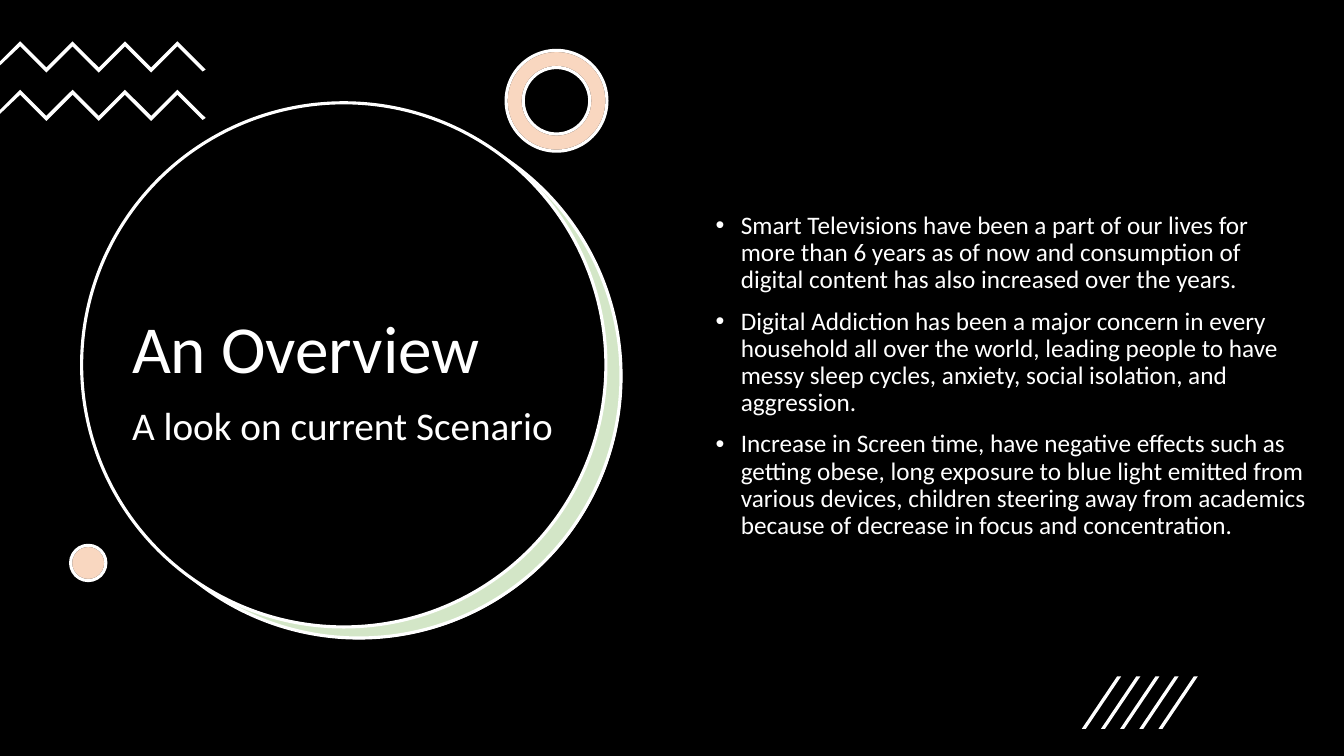
from lxml import etree
from pptx import Presentation
from pptx.dml.color import RGBColor
from pptx.enum import shapes, text
from pptx.oxml import ns
from pptx.util import Inches, Pt

BLACK = RGBColor(0x00, 0x00, 0x00)
WHITE = RGBColor(0xFF, 0xFF, 0xFF)
GREEN = RGBColor(0x70, 0xAD, 0x47)
ORANGE = RGBColor(0xED, 0x7D, 0x31)
FONT = "Calibri"
WIDTH, HEIGHT = 13.33, 7.5

POINTS = [
    "Smart Televisions have been a part of our lives for more than 6 years as of now "
    "and consumption of digital content has also increased over the years.",
    "Digital Addiction has been a major concern in every household all over the world, "
    "leading people to have messy sleep cycles, anxiety, social isolation, and aggression.",
    "Increase in Screen time, have negative effects such as getting obese, "
    "long exposure to blue light emitted from various devices, children steering away "
    "from academics because of decrease in focus and concentration.",
]


def paint(shape, fill, line=None, opacity=None):
    shape.shadow.inherit = False
    shape.fill.solid()
    shape.fill.fore_color.rgb = fill
    if opacity:
        color = shape.element.spPr.find(ns.qn("a:solidFill"))[0]
        etree.SubElement(color, ns.qn("a:alpha"), val=str(opacity * 1000))
    if line is None:
        shape.line.fill.background()
    else:
        shape.line.color.rgb = line
        shape.line.width = Pt(2.25)


def add_preset(slide, kind, left, top, width, height, fill, line=None, opacity=None):
    shape = slide.shapes.add_shape(
        kind, Inches(left), Inches(top), Inches(width), Inches(height))
    paint(shape, fill, line, opacity)
    return shape


def add_disc(slide, left, top, size, fill, line=None, opacity=None):
    add_preset(slide, shapes.MSO_SHAPE.OVAL, left, top, size, size, fill, line, opacity)


def add_outline(slide, corners):
    start, *rest = [(Inches(x), Inches(y)) for x, y in corners]
    builder = slide.shapes.build_freeform(*start)
    builder.add_line_segments(rest)
    paint(builder.convert_to_shape(), WHITE)


def add_zigzag(slide, top):
    # The upper edge runs right, the lower edge runs back 0.05 below it
    upper = [(0.2 + 0.26 * i, top + 0.26 * (i % 2)) for i in range(7)]
    lower = [(x, y + 0.05) for x, y in reversed(upper)]
    right_end = [(2.04, top + 0.28), (2.01, top + 0.3)]
    left_end = [(0, top + 0.24), (0, top + 0.2)]
    add_outline(slide, upper + right_end + lower + left_end)


def style_run(run, size):
    run.font.name = FONT
    run.font.size = Pt(size)
    run.font.color.rgb = WHITE


def add_title(slide):
    title = slide.shapes.title
    title.left, title.top = Inches(1.21), Inches(2.05)
    title.width, title.height = Inches(4.53), Inches(3.53)
    slide.shapes.element.append(title.element)  # bring in front of the circle
    frame = title.text_frame
    frame.auto_size = text.MSO_AUTO_SIZE.NONE
    frame.vertical_anchor = text.MSO_ANCHOR.MIDDLE
    heading = frame.paragraphs[0]
    heading.text = "An Overview\vA look on current Scenario"
    heading.alignment = text.PP_ALIGN.LEFT
    heading.line_spacing = 0.9
    heading.add_run().text = " "  # a tall no-break space sets the line height
    for run, size in zip(heading.runs, (48, 28, 44)):
        style_run(run, size)


def add_bullets(slide):
    box = slide.shapes.add_textbox(Inches(7), Inches(2.06), Inches(6.06), Inches(4.38))
    frame = box.text_frame
    frame.word_wrap = True
    frame.text = "\n".join(POINTS)
    for point in frame.paragraphs:
        point.line_spacing = 0.9
        point.space_before = Pt(10)
        style_run(point.runs[0], 18)
        props = point._p.get_or_add_pPr()
        props.set("marL", str(Inches(0.25)))
        props.set("indent", str(Inches(-0.25)))
        etree.SubElement(props, ns.qn("a:buFont"), typeface="Arial")
        etree.SubElement(props, ns.qn("a:buChar"), char="•")


def main():
    prs = Presentation()
    prs.slide_width, prs.slide_height = Inches(WIDTH), Inches(HEIGHT)
    slide = prs.slides.add_slide(prs.slide_layouts[5])

    # Black ground and large circle with its green crescent
    add_preset(slide, shapes.MSO_SHAPE.RECTANGLE, 0, 0, WIDTH, HEIGHT, BLACK)
    add_disc(slide, 0.97, 1.14, 5.2, WHITE)
    add_disc(slide, 0.96, 1.13, 5.2, GREEN, WHITE, 30)
    add_disc(slide, 0.81, 1.02, 5.2, BLACK, WHITE)

    add_title(slide)

    # Zigzags at the top left
    for top in (0.41, 0.89):
        add_zigzag(slide, top)

    # Ring and dot: an orange tint over a white base
    for fill, line, opacity in ((WHITE, BLACK, None), (ORANGE, WHITE, 30)):
        ring = add_preset(slide, shapes.MSO_SHAPE.DONUT, 5.02, 0.5, 1, 1,
                          fill, line, opacity)
        ring.adjustments[0] = 0.17
        add_disc(slide, 0.7, 5.41, 0.35, fill, line, opacity)

    add_bullets(slide)

    # Slanted strokes at the bottom right
    for i in range(5):
        left = 10.73 + 0.19 * i
        add_outline(slide, [(left + 0.04, 7.23), (left, 7.23),
                            (left + 0.35, 6.71), (left + 0.39, 6.71)])

    prs.save("out.pptx")


if __name__ == "__main__":
    main()
